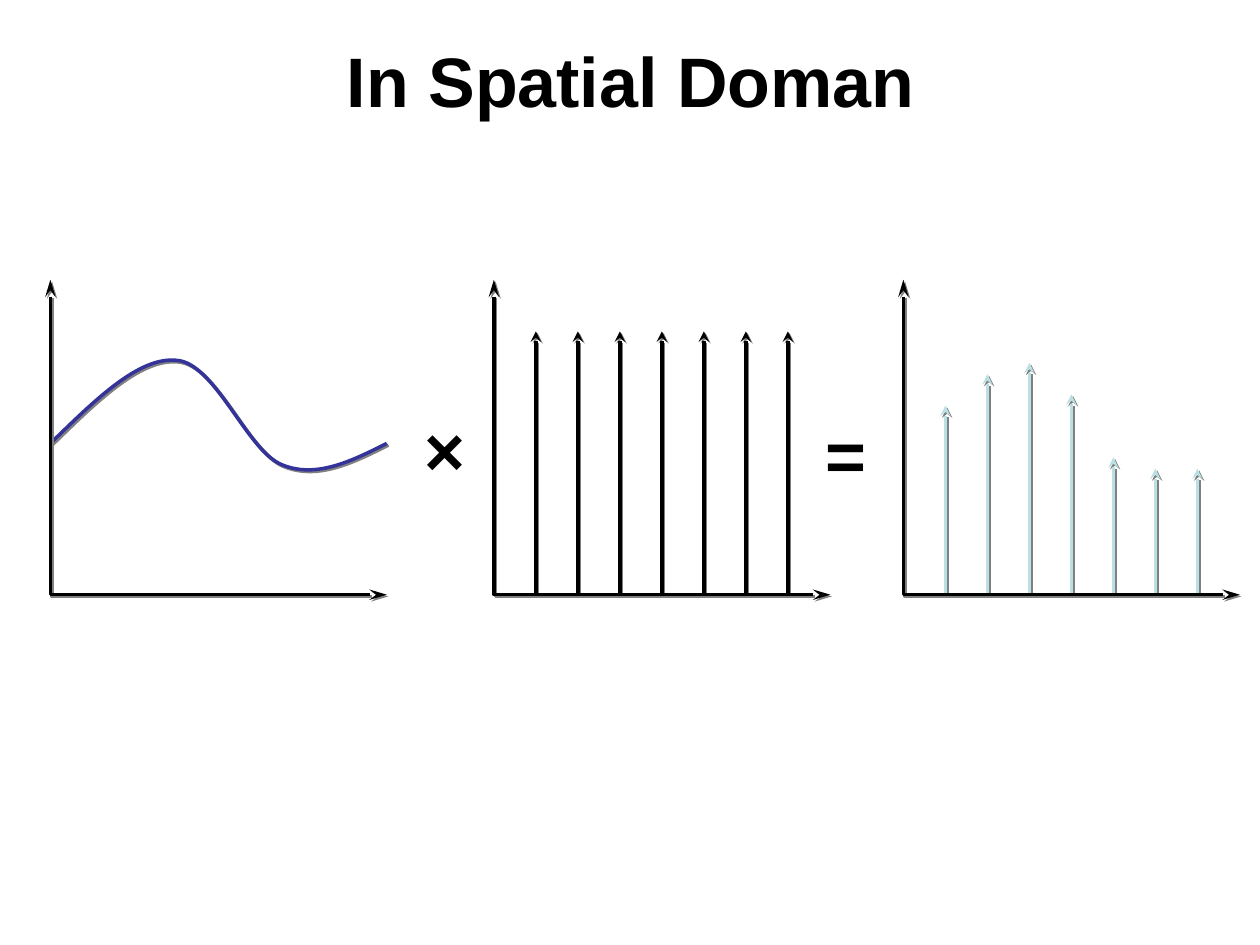
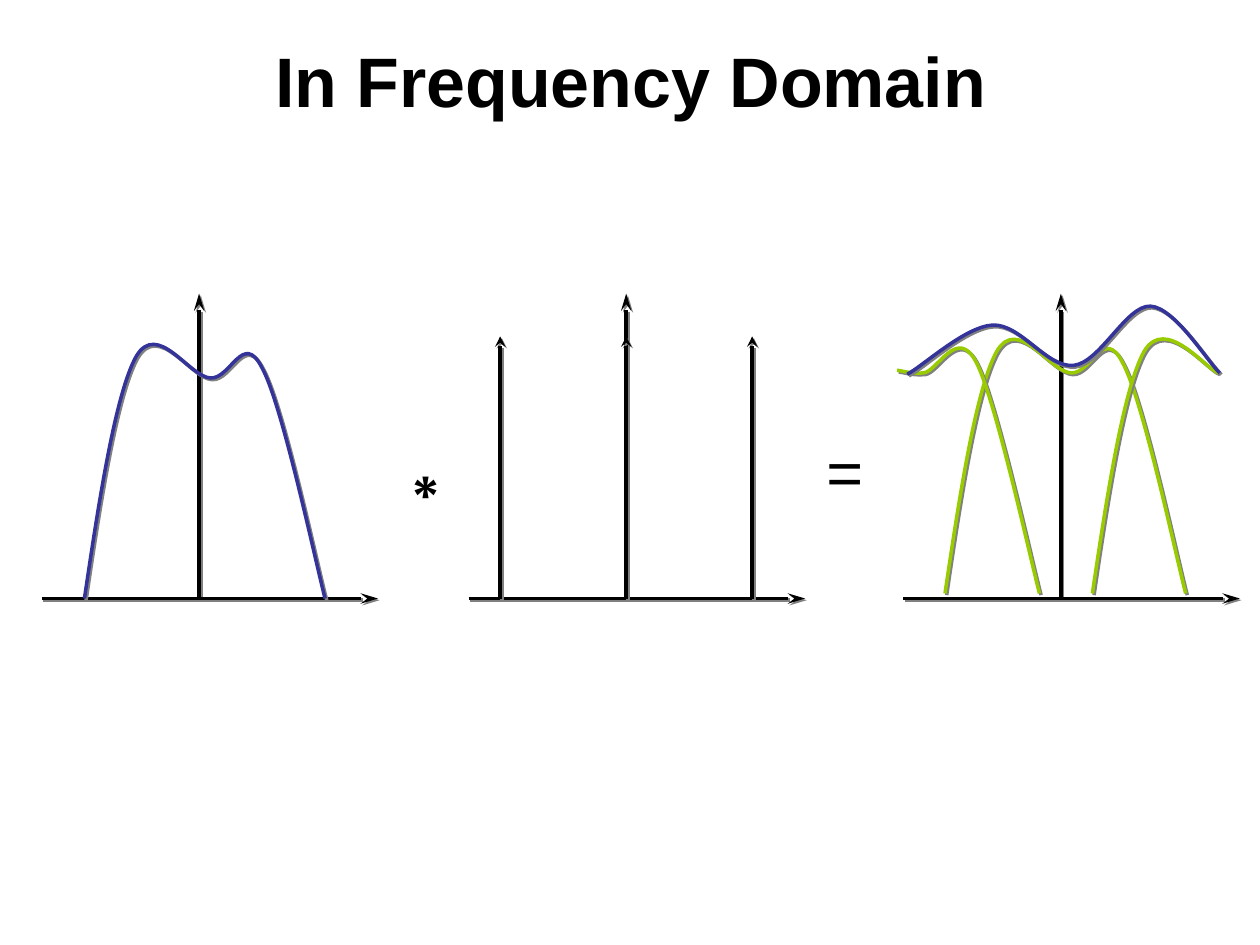
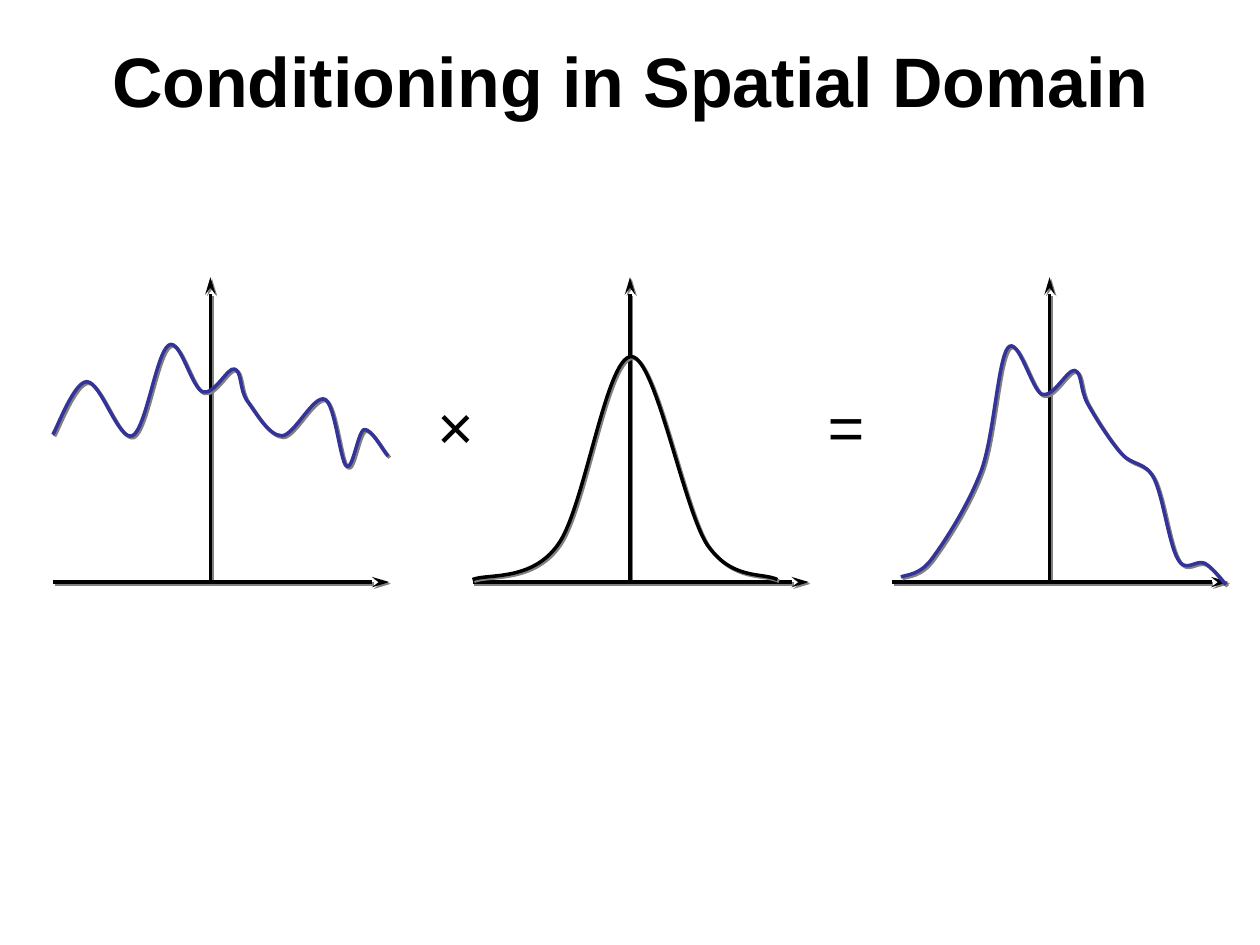
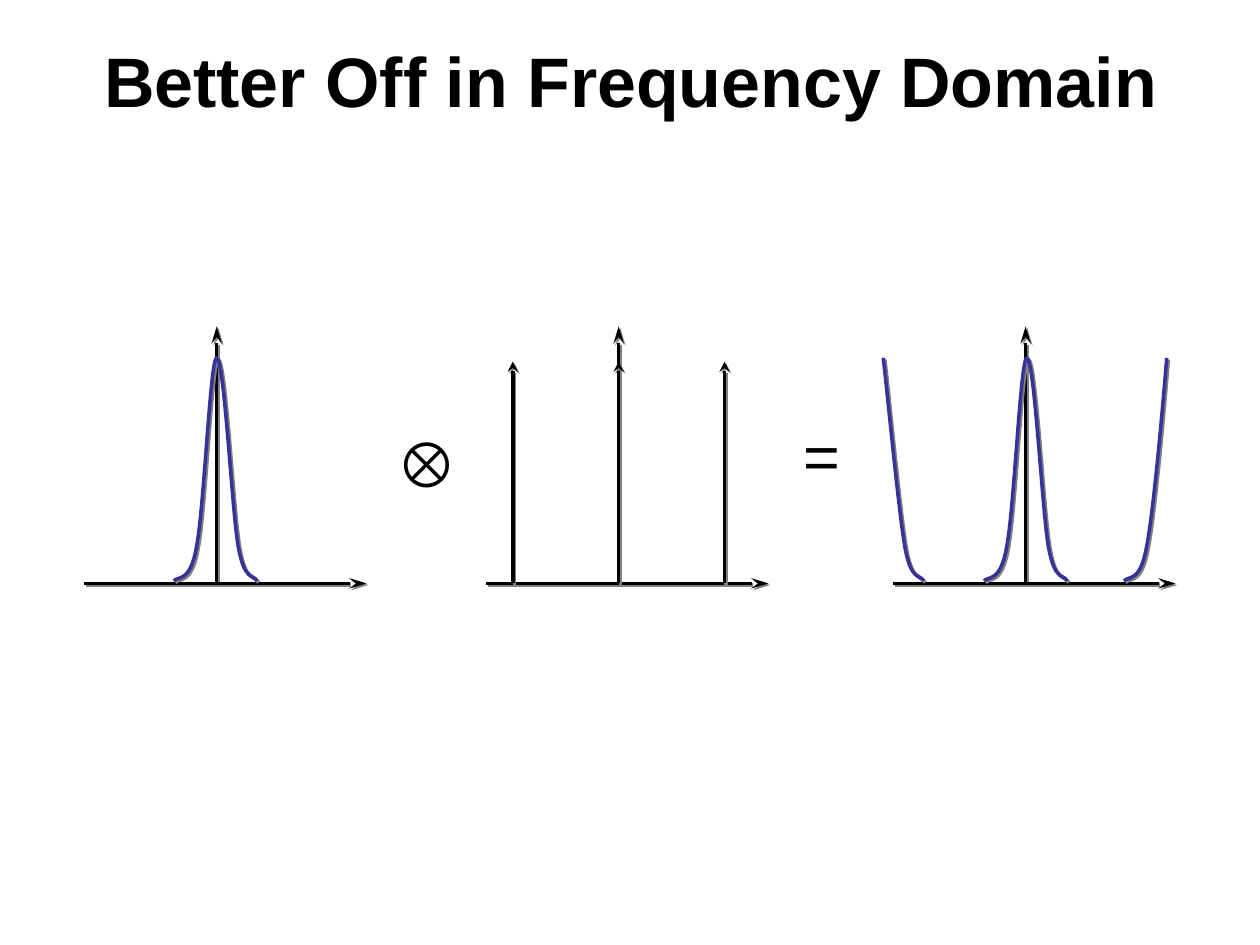
from dataclasses import dataclass

from lxml.etree import SubElement
from pptx import Presentation
from pptx.dml.color import RGBColor
from pptx.enum.shapes import MSO_CONNECTOR
from pptx.enum.text import MSO_ANCHOR, MSO_AUTO_SIZE, PP_ALIGN
from pptx.oxml.ns import qn
from pptx.util import Inches, Pt


@dataclass(frozen=True)
class Theme:
    ink: str = "000000"
    signal: str = "333399"
    sample: str = "BBE0E3"
    replica: str = "99CC00"
    line_shadow: str = "808080"
    title_shadow: str = "C0C0C0"
    font: str = "Arial"
    title_size: int = 40
    operator_size: int = 36
    line_width: int = 2
    shadow_offset: float = 1.4


THEME = Theme()
AXIS_WIDTH = 2.67
PULSE_STEP = 1 / 3

SMOOTH_SIGNAL = [
    (0.4, 3.52), (0.75, 3.18), (1.1, 2.83), (1.4, 2.86), (1.71, 2.88),
    (1.96, 3.58), (2.24, 3.69), (2.51, 3.8), (2.79, 3.66), (3.07, 3.52),
]
SPECTRUM = [
    (0.67, 4.75), (0.79, 3.94), (0.92, 3.12), (1.08, 2.83), (1.25, 2.54),
    (1.5, 2.99), (1.67, 3), (1.83, 3.01), (1.93, 2.62), (2.08, 2.92),
    (2.24, 3.21), (2.5, 4.44), (2.58, 4.75),
]
LEFT_REPLICA = [
    (7.12, 2.94), (7.15, 2.94), (7.23, 2.97), (7.33, 2.96), (7.44, 2.95),
    (7.6, 2.58), (7.75, 2.88), (7.9, 3.17), (8.17, 4.4), (8.25, 4.71),
]
RIGHT_REPLICA = [
    (8.67, 4.71), (8.79, 3.9), (8.92, 3.08), (9.08, 2.79),
    (9.25, 2.5), (9.57, 2.93), (9.67, 2.96),
]
SPECTRUM_SUM = [
    (7.2, 2.97), (7.32, 2.91), (7.66, 2.59), (7.88, 2.58), (8.1, 2.57),
    (8.31, 2.92), (8.52, 2.9), (8.73, 2.88), (8.94, 2.42), (9.13, 2.43),
    (9.32, 2.44), (9.57, 2.85), (9.68, 2.96),
]
ROUGH_SIGNAL = [
    (0.42, 3.45), (0.46, 3.38), (0.59, 3.03), (0.69, 3.03), (0.8, 3.03),
    (0.94, 3.5), (1.05, 3.46), (1.16, 3.41), (1.24, 2.8), (1.34, 2.74),
    (1.43, 2.68), (1.52, 3.08), (1.61, 3.11), (1.7, 3.14), (1.81, 2.91),
    (1.86, 2.93), (1.92, 2.94), (1.9, 3.09), (1.96, 3.18), (2.03, 3.27),
    (2.13, 3.46), (2.24, 3.46), (2.34, 3.45), (2.49, 3.13), (2.58, 3.17),
    (2.66, 3.21), (2.7, 3.66), (2.75, 3.7), (2.8, 3.74), (2.84, 3.43),
    (2.89, 3.41), (2.95, 3.4), (3.04, 3.58), (3.08, 3.62),
]
WINDOW = [
    (3.75, 4.6), (3.86, 4.55), (4.22, 4.62), (4.43, 4.32), (4.64, 4.03),
    (4.81, 2.83), (5.01, 2.83), (5.2, 2.83), (5.42, 4.02), (5.61, 4.32),
    (5.81, 4.61), (6.05, 4.54), (6.17, 4.6),
]
WINDOWED_SIGNAL = [
    (7.15, 4.58), (7.19, 4.56), (7.3, 4.57), (7.4, 4.43), (7.51, 4.28),
    (7.69, 4), (7.79, 3.73), (7.89, 3.45), (7.92, 2.86), (8, 2.76),
    (8.08, 2.66), (8.19, 3.1), (8.27, 3.13), (8.36, 3.16), (8.47, 2.93),
    (8.53, 2.94), (8.59, 2.96), (8.57, 3.09), (8.63, 3.2), (8.69, 3.31),
    (8.81, 3.5), (8.9, 3.6), (8.99, 3.7), (9.09, 3.66), (9.16, 3.8),
    (9.23, 3.94), (9.28, 4.33), (9.35, 4.44), (9.41, 4.55), (9.49, 4.44),
    (9.56, 4.47), (9.62, 4.5), (9.7, 4.61), (9.73, 4.64),
]
NARROW_BELL = [
    (1.38, 4.61), (1.41, 4.57), (1.51, 4.63), (1.56, 4.34), (1.62, 4.04),
    (1.67, 2.84), (1.72, 2.84), (1.78, 2.84), (1.84, 4.03), (1.89, 4.33),
    (1.94, 4.62), (2.01, 4.55), (2.04, 4.61),
]
RISING_BELL = [
    (8.92, 4.61), (8.95, 4.57), (9.05, 4.63), (9.1, 4.34),
    (9.16, 4.04), (9.24, 3.09), (9.26, 2.84),
]
FALLING_BELL = [
    (7.01, 2.84), (7.04, 3.09), (7.13, 4.03), (7.18, 4.33),
    (7.23, 4.62), (7.3, 4.55), (7.33, 4.61),
]


def apply(target, values):
    for name, value in values.items():
        setattr(target, name, value)


def add_shadow(effects, color, offset):
    shadow = SubElement(effects, qn("a:outerShdw"), dist=str(Pt(offset)), dir="2700000",
                        algn="ctr", rotWithShape="0")
    SubElement(shadow, qn("a:srgbClr"), val=color)


class Sketch:
    def __init__(self, theme):
        self.theme = theme
        self.deck = Presentation()
        apply(self.deck, {"slide_width": Inches(10), "slide_height": Inches(7.5)})
        self.page = None

    def start_page(self, title):
        self.page = self.deck.slides.add_slide(self.deck.slide_layouts[6])
        box, span = self.text(title, 0.17, 0.17, 9.67, 0.92, self.theme.title_size, True)
        box.text_frame.vertical_anchor = MSO_ANCHOR.MIDDLE
        fill = span.font._element.find(qn("a:solidFill"))
        effects = SubElement(span.font._element, qn("a:effectLst"))
        fill.addnext(effects)
        add_shadow(effects, self.theme.title_shadow, 2)

    def text(self, words, left, top, width, height, size, bold=False):
        box = self.page.shapes.add_textbox(*map(Inches, (left, top, width, height)))
        box.text_frame.word_wrap = True
        para = box.text_frame.paragraphs[0]
        para.alignment = PP_ALIGN.CENTER
        span = para.add_run()
        span.text = words
        apply(span.font, {"name": self.theme.font, "size": Pt(size), "bold": bold})
        span.font.color.rgb = RGBColor.from_string(self.theme.ink)
        return box, span

    def operator(self, symbol, left, top, width=0.93, height=0.7, size=None, bold=False):
        box, _ = self.text(symbol, left, top, width, height,
                           size or self.theme.operator_size, bold)
        box.text_frame.auto_size = MSO_AUTO_SIZE.SHAPE_TO_FIT_TEXT

    def stroke(self, shape, color, ends=(), length="med"):
        shape.line.width = Pt(self.theme.line_width)
        shape.line.color.rgb = RGBColor.from_string(color)
        for end in ends:
            SubElement(shape.line._get_or_add_ln(), qn(f"a:{end}"),
                       type="stealth", w="med", len=length)
        effects = SubElement(shape._element.spPr, qn("a:effectLst"))
        add_shadow(effects, self.theme.line_shadow, self.theme.shadow_offset)

    def arrow(self, start, end, color=None, length="med"):
        line = self.page.shapes.add_connector(
            MSO_CONNECTOR.STRAIGHT, *map(Inches, (*start, *end)))
        self.stroke(line, color or self.theme.ink, ["tailEnd"], length)

    def pulse(self, x, base, top, color=None):
        self.arrow((x, base), (x, top), color)

    def outline(self, points):
        corners = [(Inches(x), Inches(y)) for x, y in points]
        builder = self.page.shapes.build_freeform(*corners[0])
        builder.add_line_segments(corners[1:], close=False)
        shape = builder.convert_to_shape()
        shape.fill.background()
        return shape

    def corner_axes(self, left, top=2.22, base=4.72):
        shape = self.outline([(left, top), (left, base), (left + AXIS_WIDTH, base)])
        self.stroke(shape, self.theme.ink, ["headEnd", "tailEnd"], "lg")

    def crossed_axes(self, left, base, width=AXIS_WIDTH, height=2.42, offset=1.25):
        center = left + offset
        self.arrow((center, base), (center, base - height), length="lg")
        self.arrow((left, base), (left + width, base), length="lg")

    def curve(self, points, color, right=0, down=0):
        shape = self.outline([(x + right, y + down) for x, y in points])
        lines = list(shape._element.iter(qn("a:lnTo")))
        for first in range(0, len(lines), 3):
            trio = lines[first:first + 3]
            bezier = SubElement(trio[0].getparent(), qn("a:cubicBezTo"))
            for line in trio:
                bezier.append(line[0])
                line.getparent().remove(line)
        self.stroke(shape, color)


def spatial_sampling(sketch):
    theme = sketch.theme
    sketch.start_page("In Spatial Doman")
    for number, top in enumerate([3.22, 2.97, 2.88, 3.13, 3.63, 3.72, 3.72], 1):
        sketch.pulse(7.17 + number * PULSE_STEP, 4.72, top, theme.sample)
    sketch.corner_axes(7.17)
    sketch.curve(SMOOTH_SIGNAL, theme.signal)
    sketch.corner_axes(0.4)
    sketch.operator("×", 3.07, 3.18, height=0.77, size=40, bold=True)
    sketch.operator("=", 6.25, 3.22, height=0.77, size=40, bold=True)
    for number in range(1, 8):
        sketch.pulse(3.92 + number * PULSE_STEP, 4.72, 2.63)
    sketch.corner_axes(3.92)


def frequency_sampling(sketch):
    theme = sketch.theme
    sketch.start_page("In Frequency Domain")
    for left in (3.72, 0.33, 7.17):
        sketch.crossed_axes(left, 4.75)
    for x in (3.97, 4.97, 5.97):
        sketch.pulse(x, 4.75, 2.67)
    sketch.operator("∗", 2.92, 3.36, height=0.83, size=44)
    sketch.operator("=", 6.24, 3.38)
    sketch.curve(SPECTRUM, theme.signal)
    sketch.curve(SPECTRUM, theme.replica, right=6.83, down=-0.04)
    sketch.curve(LEFT_REPLICA, theme.replica)
    sketch.curve(RIGHT_REPLICA, theme.replica)
    sketch.curve(SPECTRUM_SUM, theme.signal)


def spatial_conditioning(sketch):
    theme = sketch.theme
    sketch.start_page("Conditioning in Spatial Domain")
    for left in (3.75, 0.42, 7.08):
        sketch.crossed_axes(left, 4.62)
    sketch.operator("=", 6.25, 3.03)
    sketch.curve(ROUGH_SIGNAL, theme.signal)
    sketch.curve(WINDOW, theme.ink)
    sketch.curve(WINDOWED_SIGNAL, theme.signal)
    sketch.operator("×", 3.15, 3.03)


def frequency_conditioning(sketch):
    theme = sketch.theme
    sketch.start_page("Better Off in Frequency Domain")
    for left in (3.86, 0.67, 7.09):
        sketch.crossed_axes(left, 4.63, width=2.24, height=2.04, offset=1.05)
    for x in (4.07, 4.91, 5.75):
        sketch.pulse(x, 4.63, 2.87)
    sketch.operator("⊗", 3, 3.31, width=0.78)
    sketch.operator("=", 6.13, 3.26, width=0.78)
    sketch.curve(NARROW_BELL, theme.signal)
    sketch.curve(NARROW_BELL, theme.signal, right=6.43)
    sketch.curve(RISING_BELL, theme.signal)
    sketch.curve(FALLING_BELL, theme.signal)


def main():
    sketch = Sketch(THEME)
    for draw in (spatial_sampling, frequency_sampling,
                 spatial_conditioning, frequency_conditioning):
        draw(sketch)
    sketch.deck.save("out.pptx")


if __name__ == "__main__":
    main()
